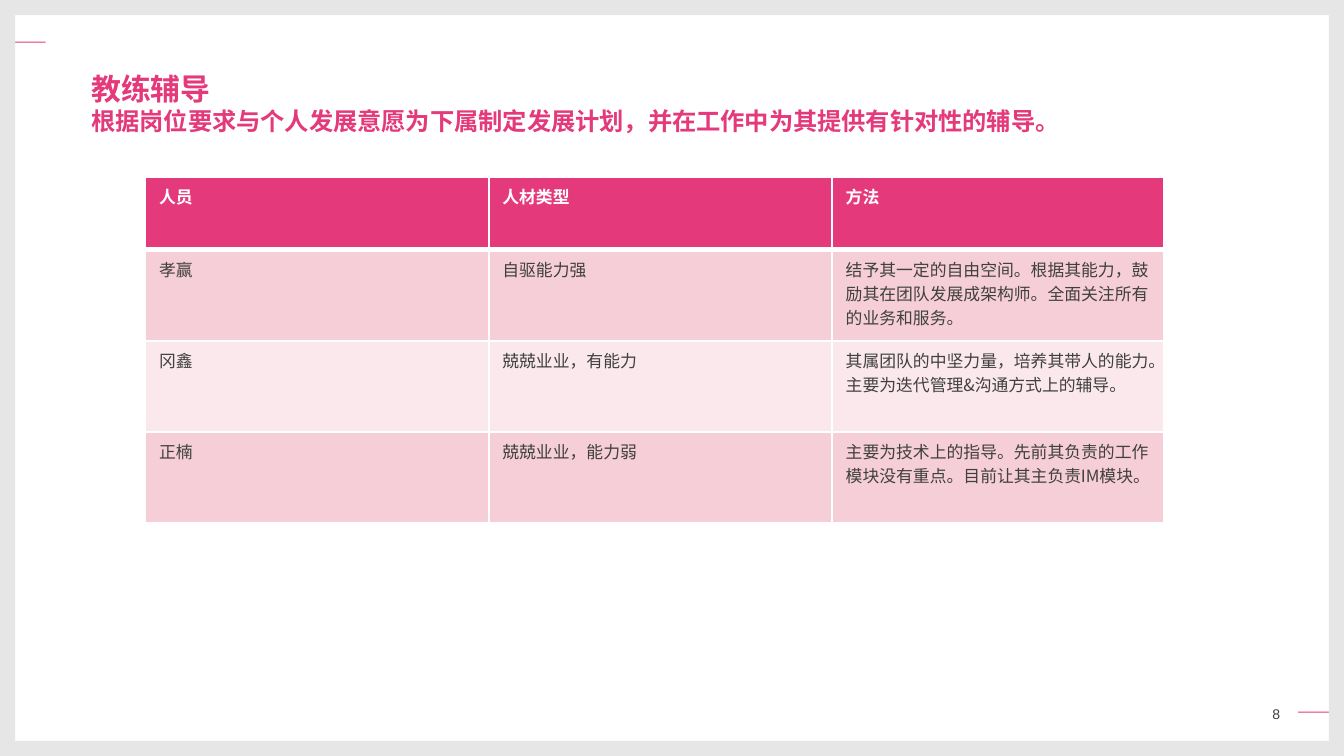
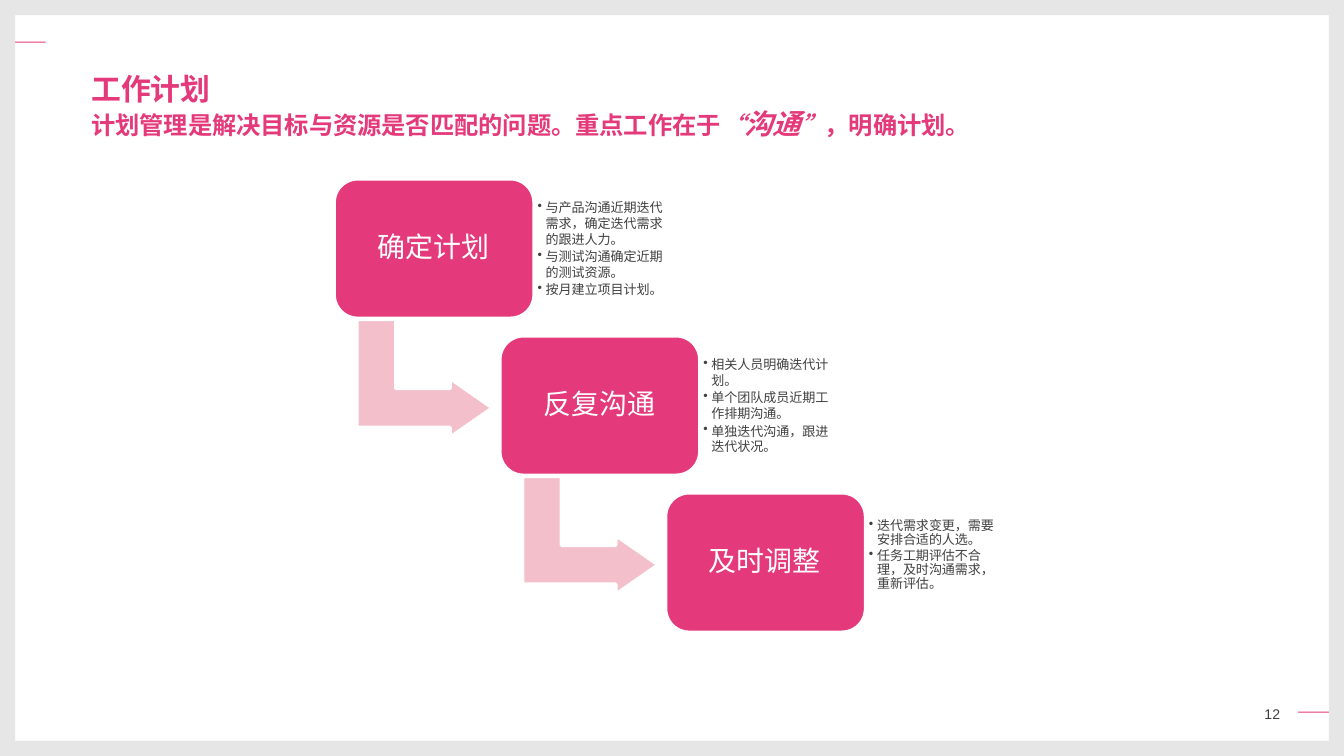
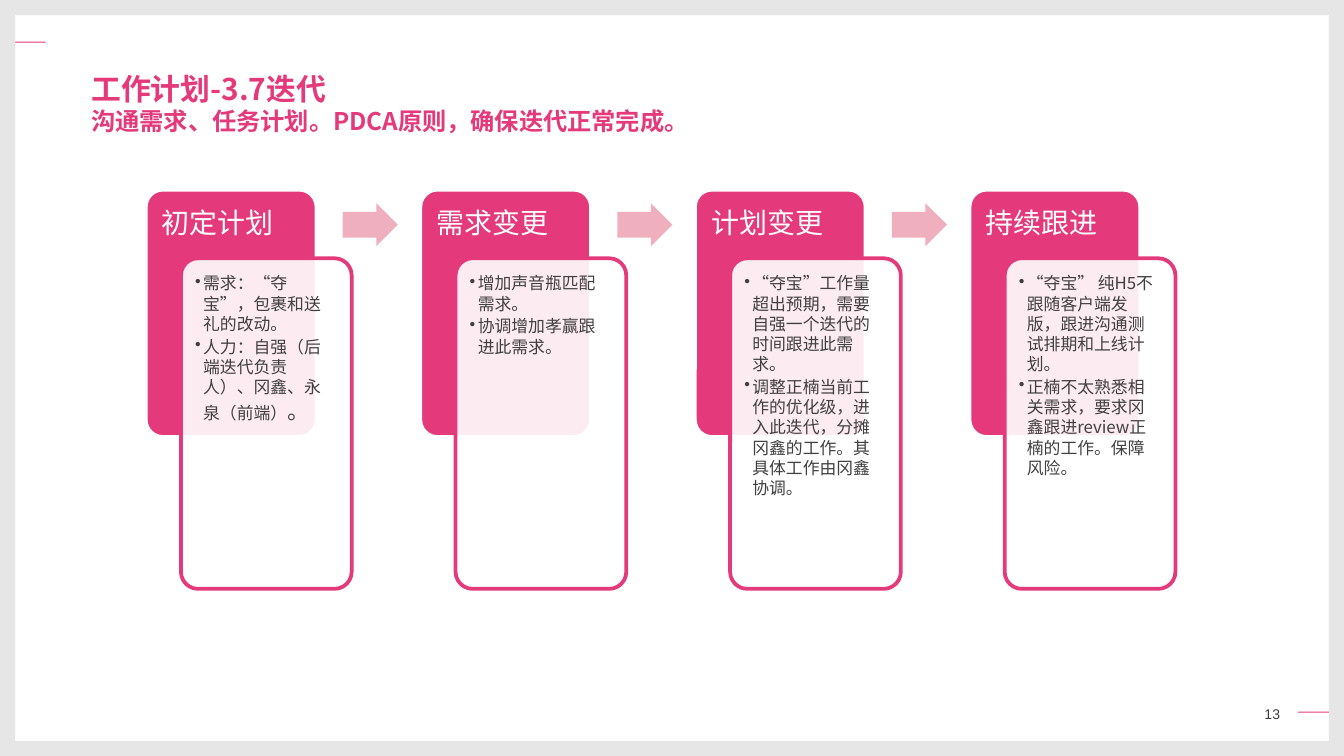
from lxml.etree import SubElement as Sub
from pptx import Presentation
from pptx.dml.color import RGBColor as RGB
from pptx.enum.shapes import MSO_SHAPE as Kind
from pptx.enum.text import MSO_ANCHOR as Anchor, MSO_AUTO_SIZE as Auto, PP_ALIGN as Align
from pptx.oxml.ns import qn
from pptx.util import Inches, Pt

CELL = Inches(0.1)
COLS, ROWS = 100, 56.25
HUES = {
    "pink": "E4397A", "grey": "E6E6E6", "ink": "404040", "white": "FFFFFF",
    "bent": "F2BFCB", "arrow": "EFAFBE", "dark": "F5CED7", "light": "FAE8EC",
}
SANS, ARIAL = "Noto Sans CJK SC", "Arial"

STAFF = [
    ("人员", "人材类型", "方法"),
    ("孝赢", "自驱能力强",
     "结予其一定的自由空间。根据其能力，鼓励其在团队发展成架构师。全面关注所有的业务和服务。"),
    ("冈鑫", "兢兢业业，有能力",
     "其属团队的中坚力量，培养其带人的能力。主要为迭代管理&沟通方式上的辅导。"),
    ("正楠", "兢兢业业，能力弱",
     "主要为技术上的指导。先前其负责的工作模块没有重点。目前让其主负责IM模块。"),
]
STEPS = [
    ("确定计划", ["与产品沟通近期迭代需求，确定迭代需求的跟进人力。",
              "与测试沟通确定近期的测试资源。", "按月建立项目计划。"], None, 0.3),
    ("反复沟通", ["相关人员明确迭代计划。", "单个团队成员近期工作排期沟通。",
              "单独迭代沟通，跟进迭代状况。"], None, 0.3),
    ("及时调整", ["迭代需求变更，需要安排合适的人选。",
              "任务工期评估不合理，及时沟通需求，重新评估。"], 0.9, 1.4),
]
CARDS = [
    ("初定计划", SANS, ["需求：“夺宝”，包裹和送礼的改动。",
                    [("人力：自强（后端迭代负责人）、冈鑫、永泉（前端）", {}),
                     ("。", {"size": 12, "face": ARIAL})]]),
    ("需求变更", ARIAL, ["增加声音瓶匹配需求。", "协调增加孝赢跟进此需求。"]),
    ("计划变更", SANS, ["“夺宝”工作量超出预期，需要自强一个迭代的时间跟进此需求。",
                    "调整正楠当前工作的优化级，进入此迭代，分摊冈鑫的工作。其具体工作由冈鑫协调。"]),
    ("持续跟进", SANS, ["“夺宝” 纯H5不跟随客户端发版，跟进沟通测试排期和上线计划。",
                    "正楠不太熟悉相关需求，要求冈鑫跟进review正楠的工作。保障风险。"]),
]


def grid(*cells):
    return [round(c * CELL) for c in cells]


def hue(name):
    return RGB.from_string(HUES[name])


def style(run, size=9, face=SANS, color="ink", bold=False, italic=False):
    font = run.font
    font.size, font.name, font.bold, font.italic = Pt(size), face, bold, italic
    font.color.rgb = hue(color)
    Sub(font._element, qn("a:ea")).set("typeface", SANS)


def bullet(para):
    props = para._p.get_or_add_pPr()
    indent = Inches(0.06)
    props.set("marL", str(indent))
    props.set("indent", str(-indent))
    props.set("hangingPunct", "0")
    Sub(props, qn("a:buChar")).set("char", "•")


def write(frame, paras, align=Align.LEFT, lead=None, after=0, dots=False, **font):
    for i, runs in enumerate(paras):
        para = frame.add_paragraph() if i else frame.paragraphs[0]
        para.alignment = align
        para.space_after = Pt(after)
        if lead:
            para.line_spacing = lead
        if dots:
            bullet(para)
        for words, extra in [(runs, {})] if isinstance(runs, str) else runs:
            run = para.add_run()
            run.text = words
            style(run, **{**font, **extra})


def text(slide, at, paras, pad=(0, 0, 0, 0), anchor=Anchor.TOP, **form):
    frame = slide.shapes.add_textbox(*grid(*at)).text_frame
    frame.word_wrap = True
    frame.vertical_anchor = anchor
    (frame.margin_left, frame.margin_top,
     frame.margin_right, frame.margin_bottom) = grid(*pad)
    write(frame, paras, **form)


def shape(slide, kind, at, fill, line=None, adj=(), turn=0, alpha=None):
    item = slide.shapes.add_shape(kind, *grid(*at))
    item.shadow.inherit = False
    item.rotation = turn
    for i, value in enumerate(adj):
        item.adjustments[i] = value
    item.fill.solid()
    item.fill.fore_color.rgb = hue(fill)
    if alpha:
        tint = item.fill._xPr.find(qn("a:solidFill"))[0]
        Sub(tint, qn("a:alpha")).set("val", str(alpha * 1000))
    if line:
        item.line.color.rgb = hue(line)
        item.line.width = Pt(2)
    else:
        item.line.fill.background()


def border(cell, side, width):
    line = Sub(cell._tc.get_or_add_tcPr(), qn("a:ln" + side))
    line.set("w", str(Pt(width)))
    fill = Sub(line, qn("a:solidFill"))
    Sub(fill, qn("a:srgbClr")).set("val", HUES["white"])


def page(deck, number, wide, head, lead):
    slide = deck.slides.add_slide(deck.slide_layouts[5])
    for y in (3.1, 52.95):
        left = 0 if y < ROWS / 2 else COLS - 3.4
        shape(slide, Kind.RECTANGLE, (left, y, 3.4, 0.08), "pink")
    edge = 1.13
    for bar in ((0, 0, edge, ROWS), (COLS - edge, 0, edge, ROWS),
                (0, 0, COLS, edge), (0, ROWS - edge, COLS, edge)):
        shape(slide, Kind.RECTANGLE, bar, "grey")
    text(slide, (92.55, 51.65, 2.7, 2.9), [str(number)], pad=(0, 0.5, 0, 0.5),
         anchor=Anchor.MIDDLE, align=Align.RIGHT, size=7.5, face=ARIAL)
    title = slide.shapes.title
    title.left, title.top, title.width, title.height = grid(5.8, 4.75, wide, 5.9)
    frame = title.text_frame
    frame.word_wrap = False
    frame.auto_size = Auto.NONE
    frame.vertical_anchor = Anchor.TOP
    write(frame, [[(head, {"size": 16})], lead], size=13, color="pink", bold=True)
    return slide


def table(slide, at, rows, wides, highs):
    body = slide.shapes.add_table(len(rows), len(wides), *grid(*at)).table
    for col, wide in zip(body.columns, grid(*wides)):
        col.width = wide
    for row, high in zip(body.rows, grid(*highs)):
        row.height = high
    for r, words in enumerate(rows):
        top = r == 0
        for c, word in enumerate(words):
            cell = body.cell(r, c)
            for side in "LRTB":
                heavy = (top and side == "B") or (r == 1 and side == "T")
                border(cell, side, 3 if heavy else 1)
            cell.fill.solid()
            cell.fill.fore_color.rgb = hue("pink" if top else "dark" if r % 2 else "light")
            write(cell.text_frame, [word], color="white" if top else "ink", bold=top)


def step(slide, i, name, notes, lead, foot):
    x, y = 24.85 + 12.33 * i, 13.3 + 11.68 * i
    if i < len(STEPS) - 1:
        shape(slide, Kind.BENT_UP_ARROW, (x + 2.35, y + 9.8, 8.8, 10.1), "bent",
              line="white", adj=(0.33, 0.25, 0.36), turn=90)
    shape(slide, Kind.ROUNDED_RECTANGLE, (x, y, 14.9, 10.4), "pink",
          line="white", adj=(0.17,))
    text(slide, (x + 0.5, y + 0.5, 13.8, 9.4), [name], pad=(0.6,) * 4,
         anchor=Anchor.MIDDLE, align=Align.CENTER, lead=0.9,
         size=15, face=ARIAL, color="white")
    text(slide, (x + 14.85, y + 1, 10.8, 8.4), notes, pad=(0.3, 0.3, 0.3, foot),
         anchor=Anchor.MIDDLE, lead=lead, after=1, dots=True, size=7, face=ARIAL)


def card(slide, i, name, face, notes):
    x, y = 10.85 + 20.43 * i, 14.12
    shape(slide, Kind.ROUNDED_RECTANGLE, (x, y, 12.7, 18.4), "pink",
          line="white", adj=(0.1,))
    text(slide, (x, y, 12.7, 5.1), [name], pad=(1.2, 1.2, 1.2, 0.6),
         size=15, face=ARIAL, color="white")
    shape(slide, Kind.ROUNDED_RECTANGLE, (x + 2.62, y + 5.1, 12.7, 24.6), "white",
          line="pink", adj=(0.1,), alpha=90)
    text(slide, (x + 2.97, y + 5.5, 12, 23.8), notes, pad=(0.7, 0.7, 1, 0.7),
         after=1.35, dots=True, face=face)
    if i < len(CARDS) - 1:
        shape(slide, Kind.RIGHT_ARROW, (x + 14.65, y + 1, 4.1, 3.2), "arrow", adj=(0.6, 0.5))


def main():
    deck = Presentation()
    deck.slide_width, deck.slide_height = grid(COLS, ROWS)

    coach = page(deck, 8, 74.9, "教练辅导",
                 "根据岗位要求与个人发展意愿为下属制定发展计划，并在工作中为其提供有针对性的辅导。")
    table(coach, (10.83, 13.2, 75.8, 25.7), STAFF, (25.55, 25.55, 24.7), (5.4, 6.77, 6.77, 6.77))

    slant = {"face": ARIAL, "italic": True}
    plan = page(deck, 12, 68.2, "工作计划", [
        ("计划管理是解决目标与资源是否匹配的问题。重点工作在于", {"face": ARIAL}),
        ("“", slant), ("沟通", {**slant, "size": 15}), ("”", slant),
        ("，明确计划。", {"face": ARIAL})])
    for i, item in enumerate(STEPS):
        step(plan, i, *item)

    cycle = page(deck, 13, 47.4, "工作计划-3.7迭代",
                 "沟通需求、任务计划。PDCA原则，确保迭代正常完成。")
    for i, item in enumerate(CARDS):
        card(cycle, i, *item)

    deck.save("out.pptx")


if __name__ == "__main__":
    main()
